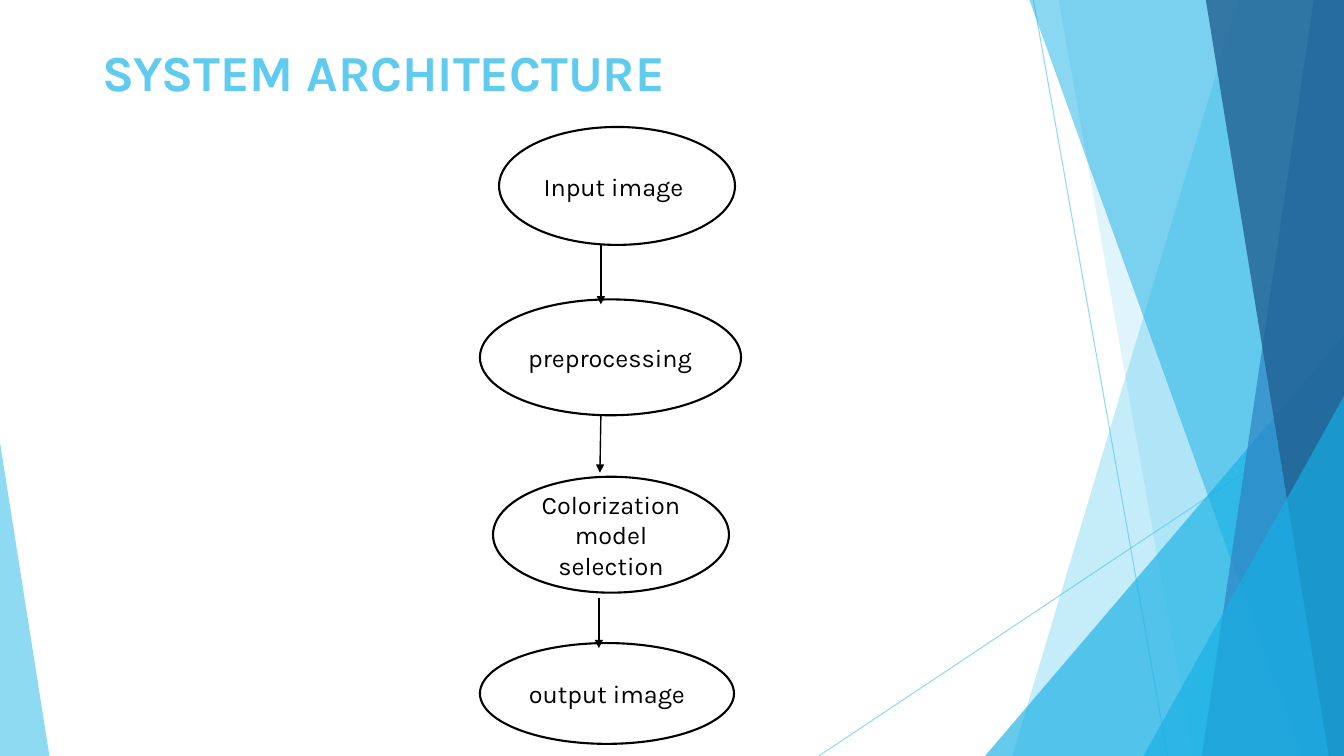
import pptx
import pptx.dml.color
import pptx.enum.shapes
import pptx.enum.text
import pptx.oxml.ns
import pptx.util
from lxml import etree

Inches = pptx.util.Inches
Pt = pptx.util.Pt
SHAPE = pptx.enum.shapes.MSO_SHAPE
ALIGN = pptx.enum.text.PP_ALIGN
ANCHOR = pptx.enum.text.MSO_ANCHOR
qn = pptx.oxml.ns.qn

WIDTH, HEIGHT = 13.33, 7.5
SKY, CYAN, BLUE, NAVY = "5FCBEF", "17B0E4", "2E83C3", "226292"
BLACK, WHITE = "000000", "FFFFFF"


def rgb(color):
    return pptx.dml.color.RGBColor.from_string(color)


class SlideBuilder:
    font = "Karla"

    def __init__(self, slide):
        self.shapes = slide.shapes

    def paint(self, fill, color, opacity=100):
        fill.solid()
        fill.fore_color.rgb = rgb(color)
        if opacity < 100:
            clr = fill._xPr.find(".//" + qn("a:srgbClr"))
            etree.SubElement(clr, qn("a:alpha"), val=str(opacity * 1000))

    def set_text(self, sp, text, size, color, align, anchor, bold=False):
        tf = sp.text_frame
        tf.word_wrap = True
        tf.vertical_anchor = anchor
        p = tf.paragraphs[0]
        p.text = text
        p.alignment = align
        p.font.name = self.font
        p.font.size = Pt(size)
        p.font.bold = bold
        p.font.color.rgb = rgb(color)

    def title(self, text, *box):
        sp = self.shapes.add_textbox(*map(Inches, box))
        self.set_text(sp, text, 36, SKY, ALIGN.LEFT, ANCHOR.TOP, bold=True)

    def ellipse(self, text, align, *box):
        sp = self.shapes.add_shape(SHAPE.OVAL, *map(Inches, box))
        sp.shadow.inherit = False
        self.paint(sp.fill, WHITE)
        sp.line.color.rgb = rgb(BLACK)
        sp.line.width = Pt(1.5)
        self.set_text(sp, text, 18, BLACK, align, ANCHOR.MIDDLE)

    def line(self, start, end, color, width, opacity=100, arrow=False):
        ends = map(Inches, (*start, *end))
        cn = self.shapes.add_connector(pptx.enum.shapes.MSO_CONNECTOR.STRAIGHT, *ends)
        cn.line.width = Pt(width)
        self.paint(cn.line.fill, color, opacity)
        if arrow:
            etree.SubElement(cn.line._get_or_add_ln(), qn("a:tailEnd"), type="triangle")
        etree.SubElement(cn._element.spPr, qn("a:effectLst"))

    def finish_facet(self, sp, color, opacity):
        sp.shadow.inherit = False
        self.paint(sp.fill, color, opacity)
        sp.line.fill.background()

    def band(self, top_x, bottom_x, color, opacity):
        """Full-height facet between a slanted left edge and the right slide edge."""
        corners = [(top_x, 0), (WIDTH, 0), (WIDTH, HEIGHT), (bottom_x, HEIGHT)]
        points = [(Inches(x), Inches(y)) for x, y in corners]
        builder = self.shapes.build_freeform(*points[0], scale=1.0)
        builder.add_line_segments(points[1:], close=True)
        self.finish_facet(builder.convert_to_shape(), color, opacity)

    def corner(self, left, top, width, apex, color, opacity):
        """Triangle standing on the bottom edge of the slide."""
        box = map(Inches, (left, top, width, HEIGHT - top))
        sp = self.shapes.add_shape(SHAPE.ISOSCELES_TRIANGLE, *box)
        sp.adjustments[0] = apex
        self.finish_facet(sp, color, opacity)


def main():
    prs = pptx.Presentation()
    prs.slide_width, prs.slide_height = Inches(WIDTH), Inches(HEIGHT)
    s = SlideBuilder(prs.slides.add_slide(prs.slide_layouts[6]))

    # Faceted background, back to front
    s.line((10.25, 0), (11.58, HEIGHT), SKY, 0.75, 70)
    s.line((WIDTH, 4.03), (8.12, HEIGHT), SKY, 0.75, 70)
    s.band(12.28, 10.04, SKY, 36)
    s.band(10.5, 11.83, SKY, 20)
    s.corner(9.77, 3.33, 3.56, 1, CYAN, 66)
    s.band(10.21, 12.91, CYAN, 50)
    s.band(13.03, 11.92, BLUE, 70)
    s.band(11.96, 13.18, NAVY, 80)
    s.corner(11.34, 3.93, 1.99, 1, CYAN, 66)
    s.corner(0, 4.39, 0.49, 0, SKY, 70)

    # Title
    s.title("SYSTEM ARCHITECTURE", 0.92, 0.36, 11.5, 1.45)

    # Processing steps
    s.ellipse("Input image", ALIGN.LEFT, 4.95, 1.26, 2.34, 1.17)
    s.ellipse("preprocessing", ALIGN.LEFT, 4.76, 2.97, 2.59, 1.15)
    s.ellipse("Colorization model selection", ALIGN.CENTER, 4.89, 4.73, 2.34, 1.15)
    s.ellipse("output image", ALIGN.CENTER, 4.76, 6.38, 2.52, 1)

    # Arrows between steps
    for start, end in [
        ((5.96, 2.42), (5.96, 3.02)),
        ((5.96, 4.11), (5.95, 4.69)),
        ((5.94, 5.93), (5.94, 6.43)),
    ]:
        s.line(start, end, BLACK, 1, arrow=True)

    prs.save("out.pptx")


if __name__ == "__main__":
    main()
